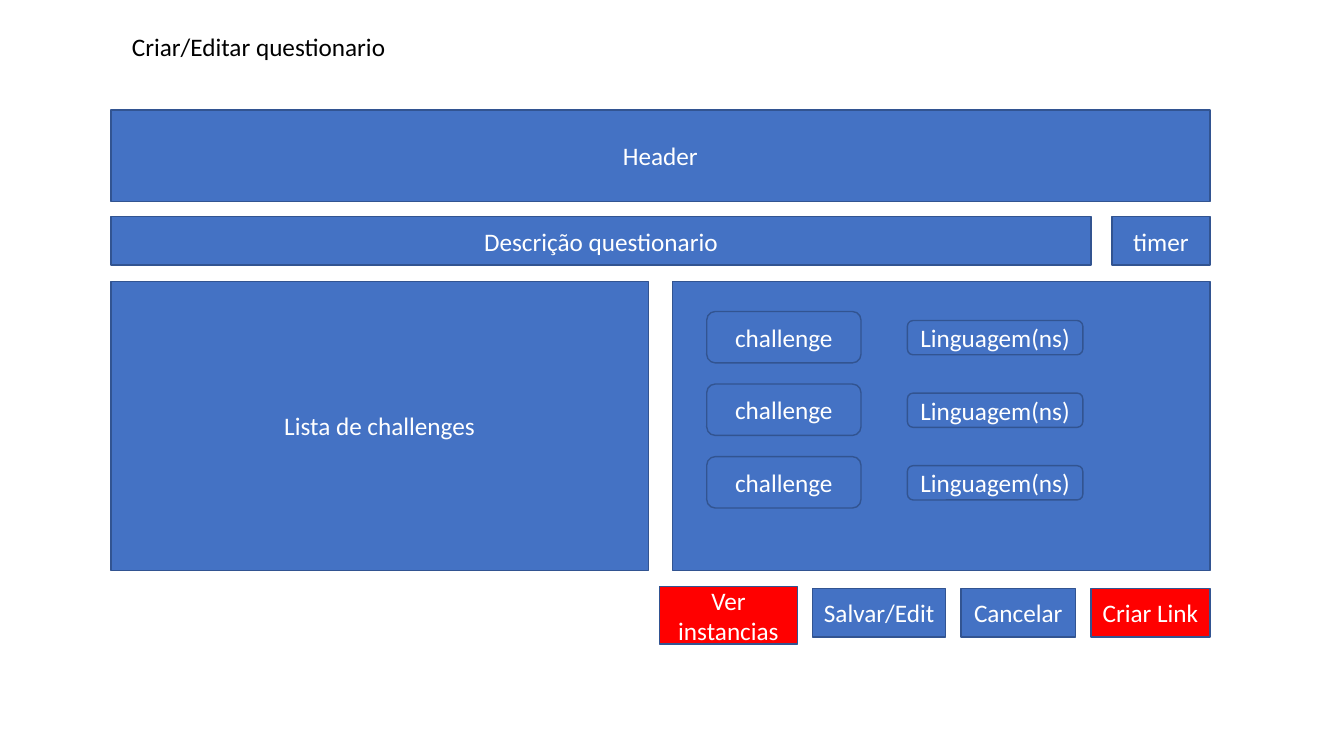
import dataclasses

import pptx
import pptx.dml.color
import pptx.enum.shapes
import pptx.enum.text
import pptx.util

KIND = pptx.enum.shapes.MSO_SHAPE
ALIGN = pptx.enum.text.PP_ALIGN
ANCHOR = pptx.enum.text.MSO_ANCHOR
SIZING = pptx.enum.text.MSO_AUTO_SIZE


def color(code):
    return pptx.dml.color.RGBColor.from_string(code)


def assign(target, values):
    for name, value in values.items():
        setattr(target, name, value)


@dataclasses.dataclass(frozen=True)
class Theme:
    blue: str = "4472C4"
    red: str = "FF0000"
    edge: str = "325491"
    light: str = "FFFFFF"
    dark: str = "000000"
    font: str = "Calibri"
    size: int = 18
    stroke: int = 1


class Board:
    cell = pptx.util.Inches(0.1)

    def __init__(self, slide, theme):
        self.slide = slide
        self.theme = theme

    def place(self, *grid):
        return [round(step * self.cell) for step in grid]

    def letter(self, frame, text, ink, style, align):
        assign(frame, style)
        line = frame.paragraphs[0]
        line.alignment = align
        run = line.add_run()
        run.text = text
        assign(run.font, {"name": self.theme.font, "size": pptx.util.Pt(self.theme.size)})
        run.font.color.rgb = color(ink)

    def label(self, text, *grid):
        frame = self.slide.shapes.add_textbox(*self.place(*grid)).text_frame
        style = {"word_wrap": False, "auto_size": SIZING.SHAPE_TO_FIT_TEXT}
        self.letter(frame, text, self.theme.dark, style, ALIGN.LEFT)

    def box(self, text, *grid, fill=None, kind=KIND.RECTANGLE):
        shape = self.slide.shapes.add_shape(kind, *self.place(*grid))
        shape.shadow.inherit = False
        shape.fill.solid()
        shape.fill.fore_color.rgb = color(fill or self.theme.blue)
        shape.line.color.rgb = color(self.theme.edge)
        shape.line.width = pptx.util.Pt(self.theme.stroke)
        if text:
            style = {"word_wrap": True, "vertical_anchor": ANCHOR.MIDDLE}
            self.letter(shape.text_frame, text, self.theme.light, style, ALIGN.CENTER)

    def pill(self, text, *grid):
        self.box(text, *grid, kind=KIND.ROUNDED_RECTANGLE)


def main():
    deck = pptx.Presentation()
    assign(deck, {"slide_width": pptx.util.Inches(13.33), "slide_height": pptx.util.Inches(7.5)})
    theme = Theme()
    board = Board(deck.slides.add_slide(deck.slide_layouts[6]), theme)

    left, right = 11, 120
    board.label("Criar/Editar questionario", 12.1, 2.6, 27.7, 4)
    board.box("Header", left, 10.9, right - left, 9.1)
    board.box("Descrição questionario", left, 21.5, 97.2, 4.8)
    board.box("timer", right - 9.7, 21.5, 9.7, 4.8)

    half = 53.3
    board.box("Lista de challenges", left, 27.9, half, 28.7)
    board.box("", right - half, 27.9, half, 28.7)

    for row in range(3):
        top = 30.9 + 7.2 * row
        board.pill("challenge", 70.1, top, 15.3, 5.1)
        board.pill("Linguagem(ns)", 90, top + 0.9, 17.4, 3.4)

    gap = 1.5
    edge = right
    for text, top, width, height, fill in (
        ("Criar Link", 58.4, 11.8, 4.8, theme.red),
        ("Cancelar", 58.4, 11.4, 4.8, theme.blue),
        ("Salvar/Edit", 58.4, 13.2, 4.8, theme.blue),
        ("Ver instancias", 58.2, 13.7, 5.7, theme.red),
    ):
        board.box(text, edge - width, top, width, height, fill=fill)
        edge -= width + gap

    deck.save("out.pptx")


if __name__ == "__main__":
    main()
